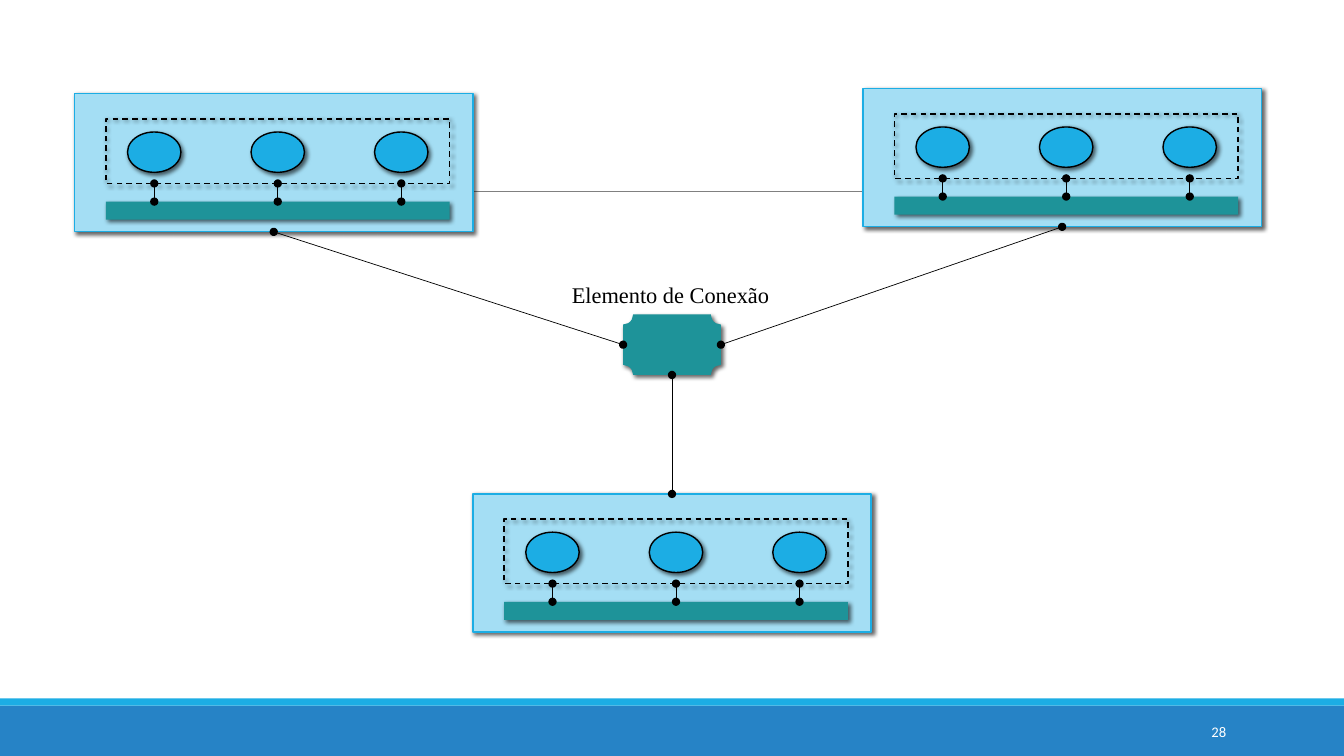
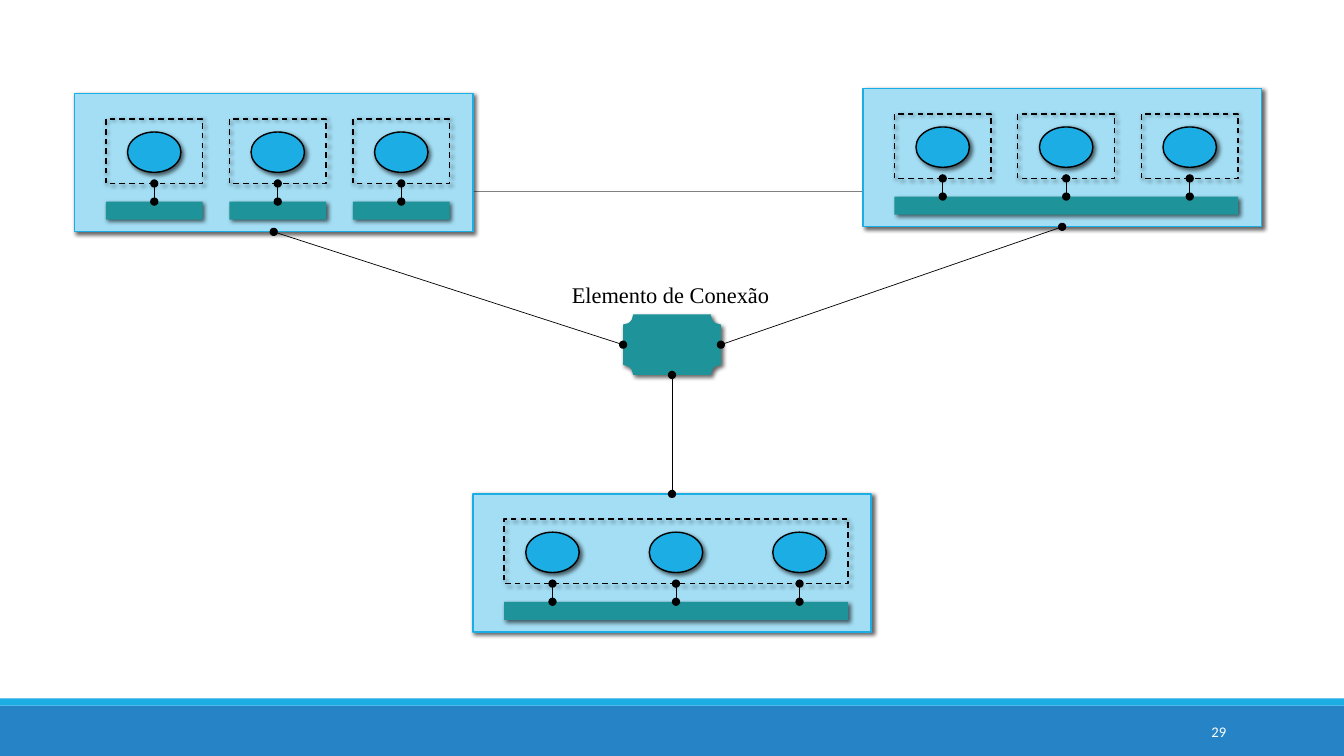
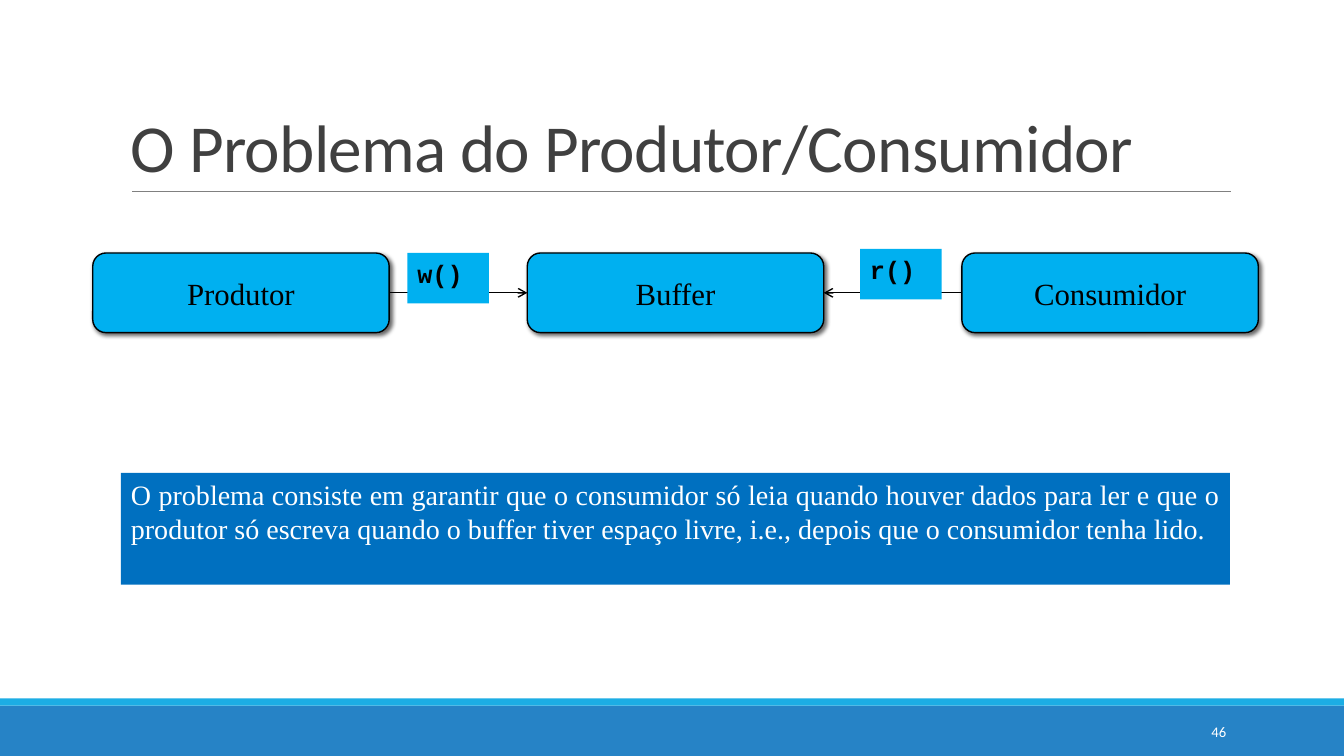
from lxml import etree
from pptx import Presentation
from pptx.dml.color import RGBColor
from pptx.enum.dml import MSO_LINE
from pptx.enum.shapes import MSO_CONNECTOR, MSO_SHAPE
from pptx.enum.text import MSO_ANCHOR, PP_ALIGN
from pptx.oxml.ns import qn
from pptx.util import Inches, Pt

RECTANGLE = MSO_SHAPE.RECTANGLE
ROUNDED = MSO_SHAPE.ROUNDED_RECTANGLE
OVAL = MSO_SHAPE.OVAL
PLAQUE = MSO_SHAPE.PLAQUE
STRAIGHT = MSO_CONNECTOR.STRAIGHT
DASH = MSO_LINE.DASH
LEFT, CENTER, RIGHT, JUSTIFY = PP_ALIGN.LEFT, PP_ALIGN.CENTER, PP_ALIGN.RIGHT, PP_ALIGN.JUSTIFY
TOP, MIDDLE, BOTTOM = MSO_ANCHOR.TOP, MSO_ANCHOR.MIDDLE, MSO_ANCHOR.BOTTOM
TOP_SITE, LEFT_SITE, BOTTOM_SITE, RIGHT_SITE = range(4)

BLACK = RGBColor(0x00, 0x00, 0x00)
WHITE = RGBColor(0xFF, 0xFF, 0xFF)
GRAY = RGBColor(0x80, 0x80, 0x80)
TITLE_GRAY = RGBColor(0x40, 0x40, 0x40)
FOOTER_BLUE = RGBColor(0x26, 0x83, 0xC6)
ACCENT_BLUE = RGBColor(0x1C, 0xAD, 0xE4)
PALE_BLUE = RGBColor(0xA4, 0xDE, 0xF4)
TEAL = RGBColor(0x1E, 0x93, 0x99)
BOX_BLUE = RGBColor(0x00, 0xB0, 0xF0)
NOTE_BLUE = RGBColor(0x00, 0x70, 0xC0)

SANS, SERIF, MONO = "Calibri", "Times New Roman", "Courier New"
SLIDE_WIDTH, SLIDE_HEIGHT = 13.33, 7.5

NODE_WIDTH, NODE_HEIGHT = 3.95, 1.37
CELL_COUNT, CELL_WIDTH, CELL_STEP = 3, 0.96, 1.225
CELL_INSET = (NODE_WIDTH - CELL_WIDTH - CELL_STEP * (CELL_COUNT - 1)) / 2 + 0.04


def add_shadow(shape):
    effects = shape.element.spPr.find(qn("a:effectLst"))
    shadow = etree.SubElement(effects, qn("a:outerShdw"), blurRad=str(Pt(3)),
                              dist=str(Pt(2)), dir=str(45 * 60000), rotWithShape="0")
    color = etree.SubElement(shadow, qn("a:srgbClr"), val=str(BLACK))
    etree.SubElement(color, qn("a:alpha"), val="60000")


def add_box(shapes, kind, left, top, width, height, fill=None, line=None,
            dash=None, shadow=True):
    shape = shapes.add_shape(kind, Inches(left), Inches(top), Inches(width), Inches(height))
    shape.shadow.inherit = False
    if fill is None:
        shape.fill.background()
    else:
        shape.fill.solid()
        shape.fill.fore_color.rgb = fill
    if line is None:
        shape.line.fill.background()
    else:
        shape.line.color.rgb = line
        shape.line.width = Pt(1)
        if dash is not None:
            shape.line.dash_style = dash
    if shadow:
        add_shadow(shape)
    return shape


def add_line(shapes, start=(0, 0), end=(0, 0), color=BLACK, width=0.5, head=None,
             tail=None, begin_join=None, end_join=None):
    connector = shapes.add_connector(STRAIGHT, *map(Inches, (*start, *end)))
    if begin_join:
        connector.begin_connect(*begin_join)
    if end_join:
        connector.end_connect(*end_join)
    connector.line.color.rgb = color
    connector.line.width = Pt(width)
    properties = connector.element.spPr
    outline = properties.find(qn("a:ln"))
    for tag, kind in (("a:headEnd", head), ("a:tailEnd", tail)):
        if kind:
            etree.SubElement(outline, qn(tag), type=kind)
    etree.SubElement(properties, qn("a:effectLst"))
    return connector


def write(shape, text, size, font, color, align=LEFT, anchor=TOP, bold=False):
    frame = shape.text_frame
    frame.word_wrap = True
    frame.vertical_anchor = anchor
    paragraph = frame.paragraphs[0]
    paragraph.text = text
    paragraph.alignment = align
    paragraph.font.size = Pt(size)
    paragraph.font.name = font
    paragraph.font.bold = bold
    paragraph.font.color.rgb = color
    return paragraph


def add_text(slide, left, top, width, height, *text, **style):
    box = slide.shapes.add_textbox(Inches(left), Inches(top), Inches(width), Inches(height))
    return box, write(box, *text, **style)


def add_base_slide(presentation, number):
    slide = presentation.slides.add_slide(presentation.slide_layouts[6])
    add_box(slide.shapes, RECTANGLE, 0, 7, SLIDE_WIDTH, 0.5, FOOTER_BLUE, shadow=False)
    add_box(slide.shapes, RECTANGLE, 0, 6.93, SLIDE_WIDTH, 0.07, ACCENT_BLUE, shadow=False)
    add_line(slide.shapes, (1.31, 1.9), (12.21, 1.9), GRAY)
    add_text(slide, 10.83, 7.06, 1.43, 0.4, str(number), 10.5, SANS, WHITE,
             align=RIGHT, anchor=MIDDLE)
    return slide


def add_title(slide, text):
    box, paragraph = add_text(slide, 1.2, 0.31, 11, 1.59, text, 48, SANS, TITLE_GRAY,
                              anchor=BOTTOM)
    paragraph.line_spacing = 0.85
    for properties in box.element.iter(qn("a:defRPr")):
        properties.set("spc", "-50")


def add_row(shapes, left, top, height, shared, **style):
    if shared:
        width = CELL_WIDTH + CELL_STEP * (CELL_COUNT - 1)
        return {CELL_COUNT // 2: add_box(shapes, RECTANGLE, left, top, width, height, **style)}
    return {index: add_box(shapes, RECTANGLE, left + index * CELL_STEP, top,
                           CELL_WIDTH, height, **style)
            for index in range(CELL_COUNT)}


def add_node(slide, left, top, shared_area, shared_memory):
    shapes = slide.shapes.add_group_shape().shapes
    frame = add_box(shapes, RECTANGLE, left, top, NODE_WIDTH, NODE_HEIGHT,
                    PALE_BLUE, ACCENT_BLUE)
    first = left + CELL_INSET
    areas = add_row(shapes, first, top + 0.25, 0.64, shared_area, line=BLACK, dash=DASH)
    memories = add_row(shapes, first, top + 1.07, 0.18, shared_memory, fill=TEAL)
    for index in range(CELL_COUNT):
        center = first + index * CELL_STEP + CELL_WIDTH / 2
        add_box(shapes, OVAL, center - 0.265, top + 0.38, 0.53, 0.4, ACCENT_BLUE, BLACK)
        area, memory = areas.get(index), memories.get(index)
        add_line(shapes, (center, top + 0.89), (center, top + 1.07),
                 head="oval", tail="oval",
                 begin_join=area and (area, BOTTOM_SITE),
                 end_join=memory and (memory, TOP_SITE))
    return frame


def add_network_slide(presentation, number, left_shared, right_shared):
    slide = add_base_slide(presentation, number)
    left_node = add_node(slide, 0.74, 0.93, *left_shared)
    right_node = add_node(slide, 8.56, 0.88, *right_shared)
    bottom_node = add_node(slide, 4.69, 4.9, True, True)
    hub = add_box(slide.shapes, PLAQUE, 6.18, 3.12, 0.97, 0.6, TEAL)
    for node, node_site, hub_site in ((left_node, BOTTOM_SITE, LEFT_SITE),
                                      (right_node, BOTTOM_SITE, RIGHT_SITE),
                                      (bottom_node, TOP_SITE, BOTTOM_SITE)):
        add_line(slide.shapes, head="oval", tail="oval",
                 begin_join=(node, node_site), end_join=(hub, hub_site))
    add_text(slide, 5.44, 2.74, 2.42, 0.37, "Elemento de Conexão", 16, SERIF, BLACK,
             align=CENTER)


def add_flow(slide, left, top):
    shapes = slide.shapes.add_group_shape().shapes
    boxes = []
    for index, name in enumerate(("Produtor", "Buffer", "Consumidor")):
        box = add_box(shapes, ROUNDED, left + index * 4.31, top, 2.94, 0.79, BOX_BLUE, BLACK)
        write(box, name, 22, SERIF, BLACK, align=CENTER, anchor=MIDDLE)
        boxes.append(box)
    producer, buffer, consumer = boxes
    add_line(shapes, width=1, tail="arrow",
             begin_join=(producer, RIGHT_SITE), end_join=(buffer, LEFT_SITE))
    add_line(shapes, width=1, tail="arrow",
             begin_join=(consumer, LEFT_SITE), end_join=(buffer, RIGHT_SITE))
    for text, across, down in (("w()", 3.12, 0), ("r()", 7.61, -0.04)):
        label = add_box(shapes, RECTANGLE, left + across, top + down, 0.81, 0.5,
                        BOX_BLUE, shadow=False)
        write(label, text, 18, MONO, BLACK, bold=True)


def add_problem_slide(presentation, number):
    slide = add_base_slide(presentation, number)
    add_title(slide, "O Problema do Produtor/Consumidor")
    add_flow(slide, 0.92, 2.51)
    note = add_box(slide.shapes, RECTANGLE, 1.2, 4.69, 11, 1.11, NOTE_BLUE, shadow=False)
    write(note, "O problema consiste em garantir que o consumidor só leia quando houver "
          "dados para ler e que o produtor só escreva quando o buffer tiver espaço livre, "
          "i.e., depois que o consumidor tenha lido.", 20, SERIF, WHITE, align=JUSTIFY)


def main():
    presentation = Presentation()
    presentation.slide_width = Inches(SLIDE_WIDTH)
    presentation.slide_height = Inches(SLIDE_HEIGHT)
    add_network_slide(presentation, 28, (True, True), (True, True))
    add_network_slide(presentation, 29, (False, False), (False, True))
    add_problem_slide(presentation, 46)
    presentation.save("out.pptx")


if __name__ == "__main__":
    main()
